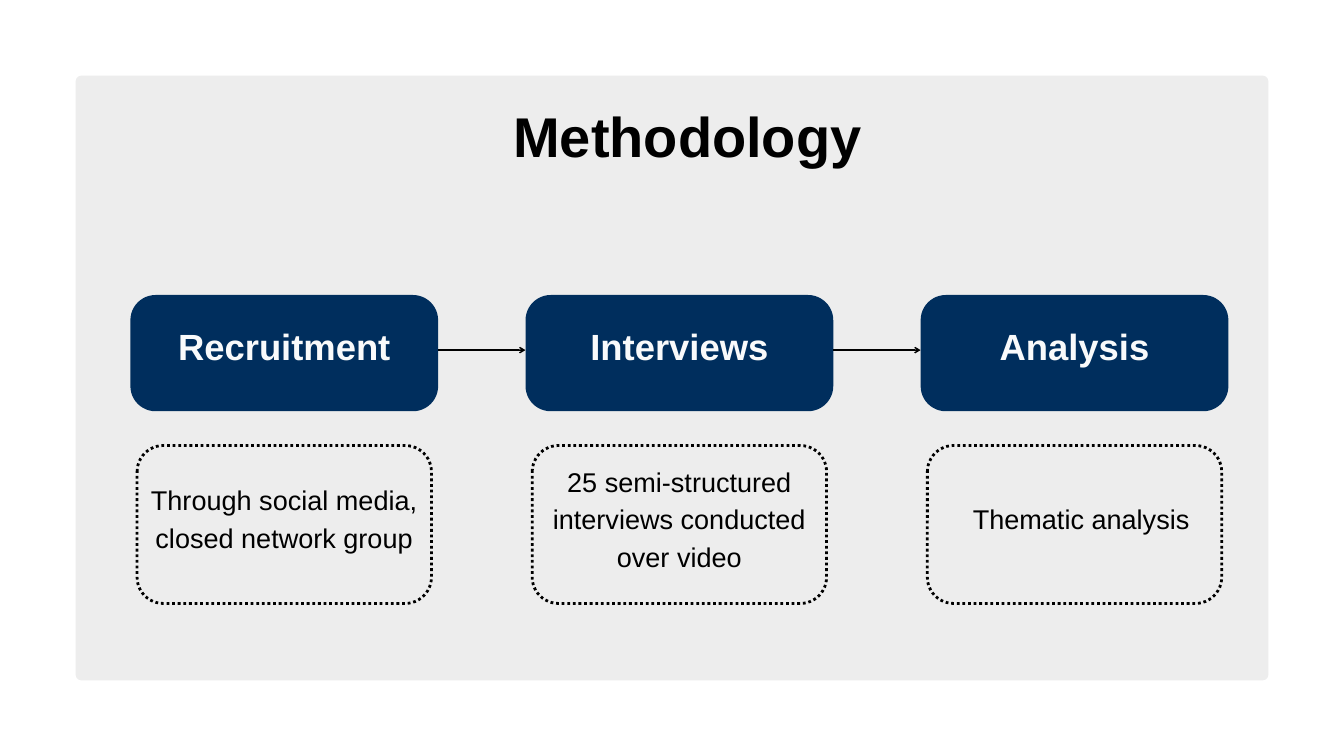
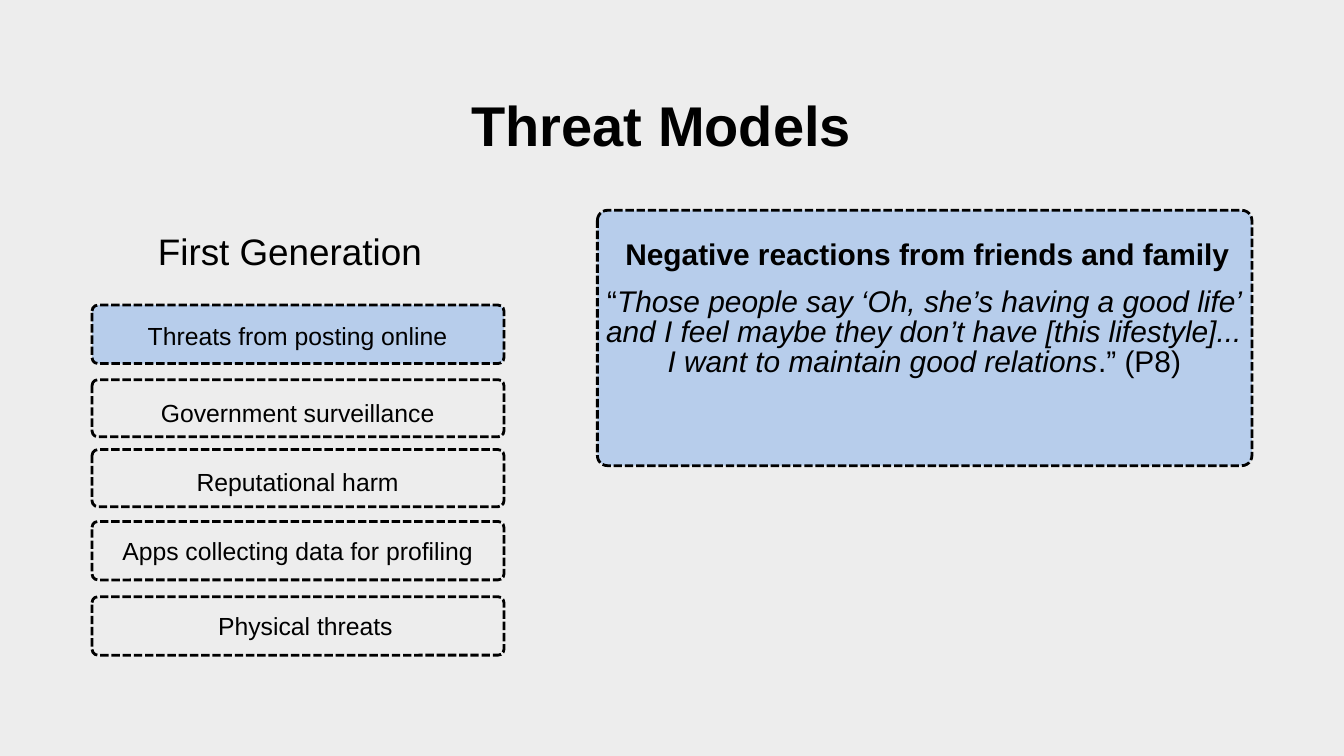
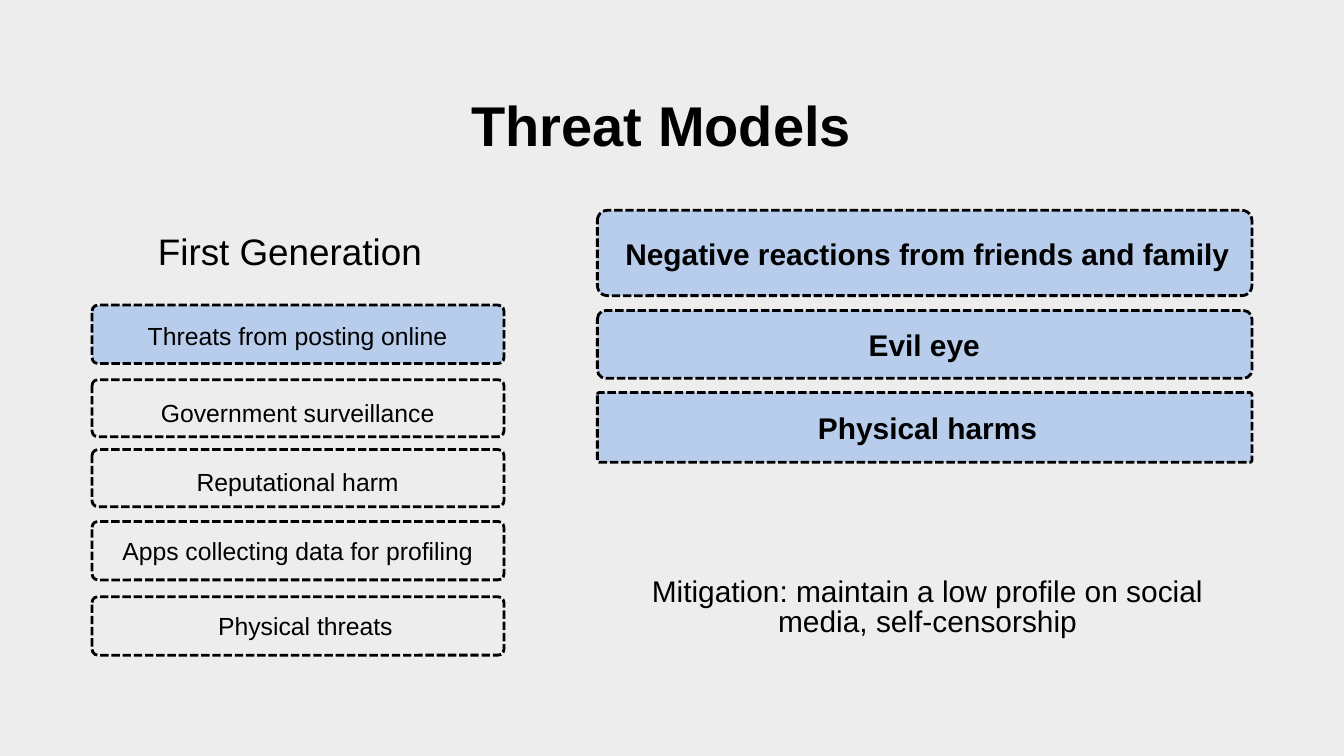
from lxml import etree
from pptx import Presentation
from pptx.dml.color import RGBColor
from pptx.enum.dml import MSO_LINE
from pptx.enum.shapes import MSO_CONNECTOR, MSO_SHAPE
from pptx.enum.text import MSO_ANCHOR, MSO_AUTO_SIZE, PP_ALIGN
from pptx.oxml.ns import qn
from pptx.util import Inches, Pt

ROUND = MSO_SHAPE.ROUNDED_RECTANGLE
STRAIGHT = MSO_CONNECTOR.STRAIGHT
DOTS, DASHES = MSO_LINE.ROUND_DOT, MSO_LINE.SQUARE_DOT
TOP, MIDDLE = MSO_ANCHOR.TOP, MSO_ANCHOR.MIDDLE
CENTER = PP_ALIGN.CENTER
FIXED = MSO_AUTO_SIZE.NONE
TITLE_ONLY = 5

COLS, ROWS = 80, 45
CELL = 0.25  # inches per grid column and row

FONT = "Arial"
BLACK, WHITE, PALE = "000000", "FFFFFF", "F9FAFB"
GREY, NAVY, BLUE = "EDEDED", "002E5D", "B7CDEB"

# Threat list: text, box top, box height, label top, label width, label centre
THREATS = [
    ("Threats from posting online", 18.16, 3.48, 18.8, 20.4, 17.72),
    ("Government surveillance", 22.6, 3.4, 23.4, 18.48, 17.72),
    ("Reputational harm", 26.76, 3.4, 27.52, 15.12, 17.72),
    ("Apps collecting data for profiling", 31.04, 3.48, 31.6, 23.56, 17.72),
    ("Physical threats", 35.52, 3.48, 36.04, 23.56, 18.18),
]

# Method steps: heading, note, shift of the note's text
STEPS = [
    ("Recruitment", "Through social media, closed network group", 0),
    ("Interviews", "25 semi-structured interviews conducted over video", 0),
    ("Analysis", "Thematic analysis", 0.4),
]
STEP = 23.52

# Harm boxes: text, text left, text top, box top, box height, corner radius
HARMS = [
    ("Negative reactions from friends and family", 35.92, 14.36, 12.52, 5.08, 0.6),
    ("Evil eye", 35.72, 19.8, 18.48, 4.04, 0.5),
    ("Physical harms", 35.92, 24.76, 23.36, 4.16, 0.12),
]
SIDE, SPAN = 35.56, 38.96
WIDE = 38.6


def grid(*cells):
    return [Inches(n * CELL) for n in cells]


def color(code):
    return RGBColor.from_string(code)


def write(frame, runs, size, lead, ink=BLACK, bold=False, inset=0, anchor=TOP):
    """Fill a frame with one centred paragraph of (text, italic) runs."""
    frame.word_wrap = True
    frame.auto_size = FIXED
    frame.vertical_anchor = anchor
    frame.margin_left = frame.margin_right = Inches(inset)
    frame.margin_top = frame.margin_bottom = Inches(inset)
    para = frame.paragraphs[0]
    para.alignment = CENTER
    para.line_spacing = Pt(lead)
    para.space_before = Pt(0)
    for words, slant in runs:
        run = para.add_run()
        run.text = words
        font = run.font
        font.name, font.size = FONT, Pt(size)
        font.bold, font.italic = bold, slant
        font.color.rgb = color(ink)


def label(slide, area, words, size, lead, **style):
    runs = [(words, False)] if isinstance(words, str) else words
    box = slide.shapes.add_textbox(*grid(*area))
    write(box.text_frame, runs, size, lead, **style)


def box(slide, area, radius, fill=None, dash=None):
    shape = slide.shapes.add_shape(ROUND, *grid(*area))
    shape.adjustments[0] = radius / min(area[2:])
    shape.shadow.inherit = False
    if fill:
        shape.fill.solid()
        shape.fill.fore_color.rgb = color(fill)
    else:
        shape.fill.background()
    if dash:
        shape.line.color.rgb = color(BLACK)
        shape.line.width = Pt(3)
        shape.line.dash_style = dash
    else:
        shape.line.fill.background()
    return shape


def arrow(slide, left, right, row):
    link = slide.shapes.add_connector(STRAIGHT, *grid(left, row, right, row))
    link.line.color.rgb = color(BLACK)
    link.line.width = Pt(1.5)
    props = link.element.spPr
    etree.SubElement(props.find(qn("a:ln")), qn("a:tailEnd"), type="arrow")
    etree.SubElement(props, qn("a:effectLst"))


def start(deck, title, area, back):
    """Add a slide with its background and title."""
    slide = deck.slides.add_slide(deck.slide_layouts[TITLE_ONLY])
    slide.background.fill.solid()
    slide.background.fill.fore_color.rgb = color(back)
    head = slide.shapes.title
    head.left, head.top, head.width, head.height = grid(*area)
    write(head.text_frame, [(title, False)], 60, 60, bold=True)
    return slide


def method(deck):
    slide = start(deck, "Methodology", (25.76, 6.72, 30.32, 3.36), WHITE)
    panel = box(slide, (4.5, 4.5, 71, 36), 0.35, GREY)
    slide.shapes.title.element.addprevious(panel.element)
    for i, (head, note, shift) in enumerate(STEPS):
        left = 7.76 + i * STEP
        box(slide, (left, 17.56, 18.32, 6.92), 1.5, NAVY)
        label(slide, (left, 16.32, 18.32, 8.12), head, 39, 54.6,
              ink=PALE, bold=True, inset=0.06, anchor=MIDDLE)
        inner = left + 0.4
        box(slide, (inner, 26.52, 17.52, 9.4), 1.56, dash=DOTS)
        label(slide, (inner + shift, 25.6, 17.52, 10.28), note, 29, 40.6,
              inset=0.06, anchor=MIDDLE)
        if i:
            arrow(slide, left - 5.2, left, 20.84)


def threats(deck):
    """Start a threat slide with the list on its left."""
    slide = start(deck, "Threat Models", (20.48, 6.04, 37.76, 3.36), GREY)
    label(slide, (8.2, 13.16, 18.12, 2.8), "First Generation", 39.5, 55.3)
    for i, (name, top, high, line, wide, mid) in enumerate(THREATS):
        fill = None if i else BLUE
        box(slide, (5.48, top, 24.52, high), 0.35, fill, DASHES)
        label(slide, (mid - wide / 2, line, wide, 1.88), name, 26.5, 37.1)
    return slide


def harm(slide, words, left, line, top, high, radius):
    box(slide, (SIDE, top, SPAN, high), radius, BLUE, DASHES)
    label(slide, (left, line, WIDE, 1.84), words, 32, 32, bold=True)


def quote(deck):
    slide = threats(deck)
    words, left, line, top, _, radius = HARMS[0]
    harm(slide, words, left, line, top, 15.2, radius)
    label(slide, (35.72, 17.2, WIDE, 5.44), [
        ("“", False),
        ("Those people say ‘Oh, she’s having a good life’ and I feel maybe "
         "they don’t have [this lifestyle]... I want to maintain good "
         "relations", True),
        (".” (P8)", False),
    ], 32, 32)


def harms(deck):
    slide = threats(deck)
    for item in HARMS:
        harm(slide, *item)
    label(slide, (35.92, 34.44, WIDE, 3.64),
          "Mitigation: maintain a low profile on social media, "
          "self-censorship", 32, 32)


def main():
    deck = Presentation()
    deck.slide_width, deck.slide_height = grid(COLS, ROWS)
    method(deck)
    quote(deck)
    harms(deck)
    deck.save("out.pptx")


if __name__ == "__main__":
    main()
